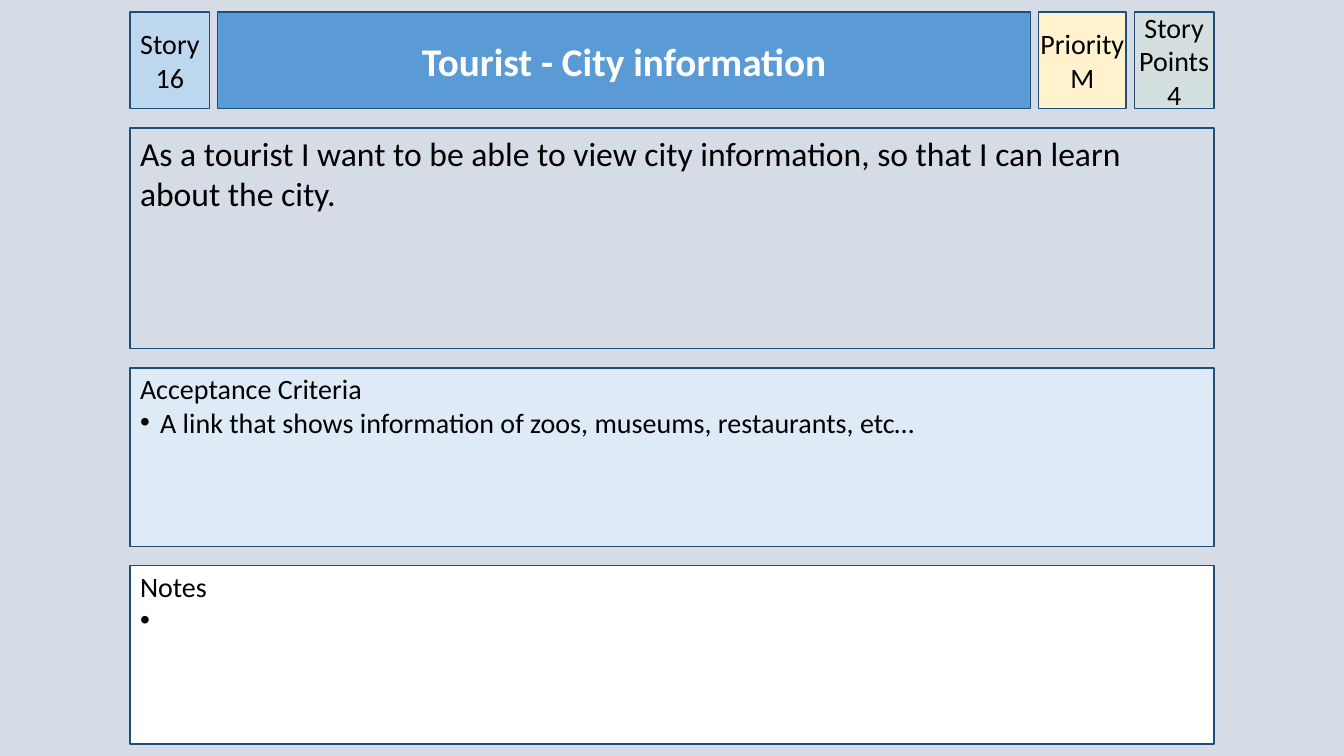
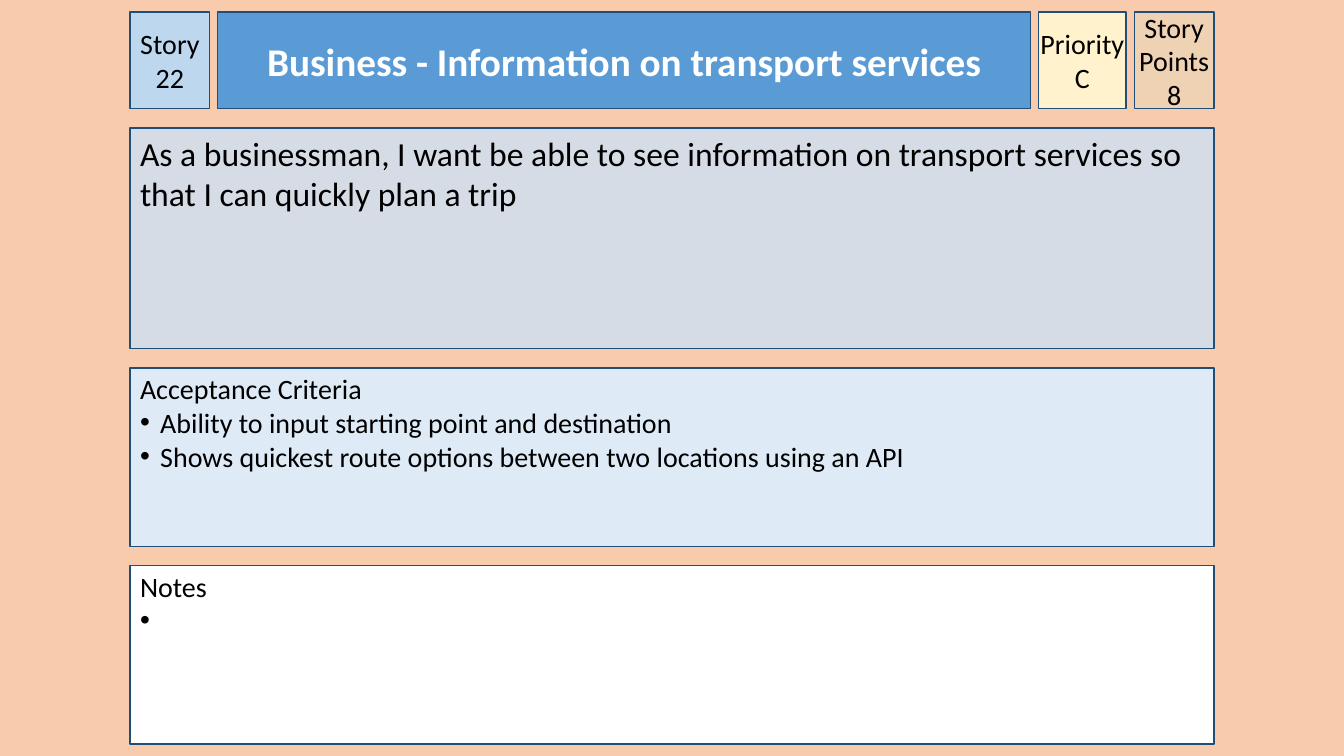
from dataclasses import dataclass

from lxml import etree
from pptx import Presentation
from pptx.dml.color import RGBColor
from pptx.enum.shapes import MSO_SHAPE
from pptx.enum.text import MSO_ANCHOR, PP_ALIGN
from pptx.oxml.ns import qn
from pptx.slide import Slide
from pptx.text.text import _Paragraph
from pptx.util import Pt

RECTANGLE = MSO_SHAPE.RECTANGLE
TOP, MIDDLE = MSO_ANCHOR.TOP, MSO_ANCHOR.MIDDLE
LEFT, CENTER = PP_ALIGN.LEFT, PP_ALIGN.CENTER

EMU_PER_PX = 9144  # 100 px to the inch
SLIDE_WIDTH, SLIDE_HEIGHT = 1333, 750
CARD_LEFT, CARD_TOP, CARD_WIDTH = 129, 12, 1075
HEADER_HEIGHT = 96
HEADER_WIDTHS = (79, 806, 87, 79)
PANEL_HEIGHTS = (219, 177, 177)
HEADER_GAP, PANEL_GAP = 8, 19
BULLET_INDENT = 20

BLACK = RGBColor(0x00, 0x00, 0x00)
WHITE = RGBColor(0xFF, 0xFF, 0xFF)
NAVY = RGBColor(0x1F, 0x4E, 0x79)
BLUE = RGBColor(0x5B, 0x9B, 0xD5)
LIGHT_BLUE = RGBColor(0xBD, 0xD7, 0xEE)
PALE_BLUE = RGBColor(0xDE, 0xEB, 0xF7)
GREY_BLUE = RGBColor(0xD6, 0xDC, 0xE5)
PEACH = RGBColor(0xF8, 0xCB, 0xAD)
CREAM = RGBColor(0xFF, 0xF2, 0xCC)
MINT = RGBColor(0xCC, 0xF0, 0xCD)


@dataclass(frozen=True)
class Story:
    number: int
    title: str
    description: str
    criteria: tuple[str, ...]
    priority: str
    points: int
    background: RGBColor


@dataclass(frozen=True)
class BoxStyle:
    fill: RGBColor
    size: int = 20
    color: RGBColor = BLACK
    bold: bool = False
    alignment: PP_ALIGN = LEFT
    anchor: MSO_ANCHOR = TOP
    side_margin: int = 10
    top_margin: int = 5
    wrap: bool = True
    opacity: int = 100


def header_label(fill: RGBColor, wrap: bool = True, opacity: int = 100) -> BoxStyle:
    return BoxStyle(fill, alignment=CENTER, anchor=MIDDLE, side_margin=0,
                    wrap=wrap, opacity=opacity)


NUMBER_STYLE = header_label(LIGHT_BLUE)
TITLE_STYLE = BoxStyle(BLUE, 28, WHITE, True, CENTER, MIDDLE)
PRIORITY_STYLE = header_label(CREAM, wrap=False)
POINTS_STYLE = header_label(MINT, opacity=20)
DESCRIPTION_STYLE = BoxStyle(GREY_BLUE, 24)
CRITERIA_STYLE = BoxStyle(PALE_BLUE, top_margin=4)
NOTES_STYLE = BoxStyle(WHITE, top_margin=4)

STORIES = (
    Story(16, "Tourist - City information",
          "As a tourist I want to be able to view city information, "
          "so that I can learn about the city.",
          ("A link that shows information of zoos, museums, restaurants, etc…",),
          "M", 4, GREY_BLUE),
    Story(22, "Business - Information on transport services",
          "As a businessman, I want be able to see information on transport "
          "services so that I can quickly plan a trip",
          ("Ability to input starting point and destination",
           "Shows quickest route options between two locations using an API"),
          "C", 8, PEACH),
)


def px(length: int) -> int:
    return length * EMU_PER_PX


def set_attributes(target: object, values: dict[str, object]) -> None:
    for name, value in values.items():
        setattr(target, name, value)


def add_bullet(paragraph: _Paragraph) -> None:
    properties = paragraph._p.get_or_add_pPr()
    properties.set("marL", str(px(BULLET_INDENT)))
    properties.set("indent", str(-px(BULLET_INDENT)))
    etree.SubElement(properties, qn("a:buFont"), typeface="Arial")
    etree.SubElement(properties, qn("a:buChar"), char="•")


def add_box(slide: Slide, left: int, top: int, width: int, height: int,
            style: BoxStyle, lines: tuple[str, ...],
            bullets: tuple[str, ...] = ()) -> None:
    """Draw an outlined rectangle holding plain lines, then bulleted ones."""
    shape = slide.shapes.add_shape(RECTANGLE, px(left), px(top), px(width), px(height))
    shape.shadow.inherit = False
    shape.fill.solid()
    shape.fill.fore_color.rgb = style.fill
    if style.opacity < 100:
        color = shape._element.spPr.find(f"{qn('a:solidFill')}/{qn('a:srgbClr')}")
        etree.SubElement(color, qn("a:alpha"), val=str(style.opacity * 1000))
    shape.line.color.rgb = NAVY
    shape.line.width = Pt(1)

    frame = shape.text_frame
    set_attributes(frame, {
        "word_wrap": style.wrap,
        "vertical_anchor": style.anchor,
        "margin_left": px(style.side_margin),
        "margin_right": px(style.side_margin),
        "margin_top": px(style.top_margin),
        "margin_bottom": px(5),
    })
    for index, text in enumerate(lines + bullets):
        paragraph = frame.add_paragraph() if index else frame.paragraphs[0]
        paragraph.alignment = style.alignment
        if index >= len(lines):
            add_bullet(paragraph)
        run = paragraph.add_run()
        run.text = text
        set_attributes(run.font, {"name": "Calibri", "size": Pt(style.size),
                                  "bold": style.bold})
        run.font.color.rgb = style.color


def add_header(slide: Slide, story: Story) -> None:
    cells = (
        (NUMBER_STYLE, (f"Story {story.number}",)),
        (TITLE_STYLE, (story.title,)),
        (PRIORITY_STYLE, ("Priority", story.priority)),
        (POINTS_STYLE, ("Story Points", str(story.points))),
    )
    left = CARD_LEFT
    for width, (style, lines) in zip(HEADER_WIDTHS, cells):
        add_box(slide, left, CARD_TOP, width, HEADER_HEIGHT, style, lines)
        left += width + HEADER_GAP


def add_panels(slide: Slide, story: Story) -> None:
    panels = (
        (DESCRIPTION_STYLE, story.description, ()),
        (CRITERIA_STYLE, "Acceptance Criteria", story.criteria),
        (NOTES_STYLE, "Notes", (" ",)),
    )
    top = CARD_TOP + HEADER_HEIGHT + PANEL_GAP
    for height, (style, heading, bullets) in zip(PANEL_HEIGHTS, panels):
        add_box(slide, CARD_LEFT, top, CARD_WIDTH, height, style, (heading,), bullets)
        top += height + PANEL_GAP


def main() -> None:
    presentation = Presentation()
    presentation.slide_width = px(SLIDE_WIDTH)
    presentation.slide_height = px(SLIDE_HEIGHT)
    blank_layout = presentation.slide_layouts[6]
    for story in STORIES:
        slide = presentation.slides.add_slide(blank_layout)
        slide.background.fill.solid()
        slide.background.fill.fore_color.rgb = story.background
        add_header(slide, story)
        add_panels(slide, story)
    presentation.save("out.pptx")


if __name__ == "__main__":
    main()
